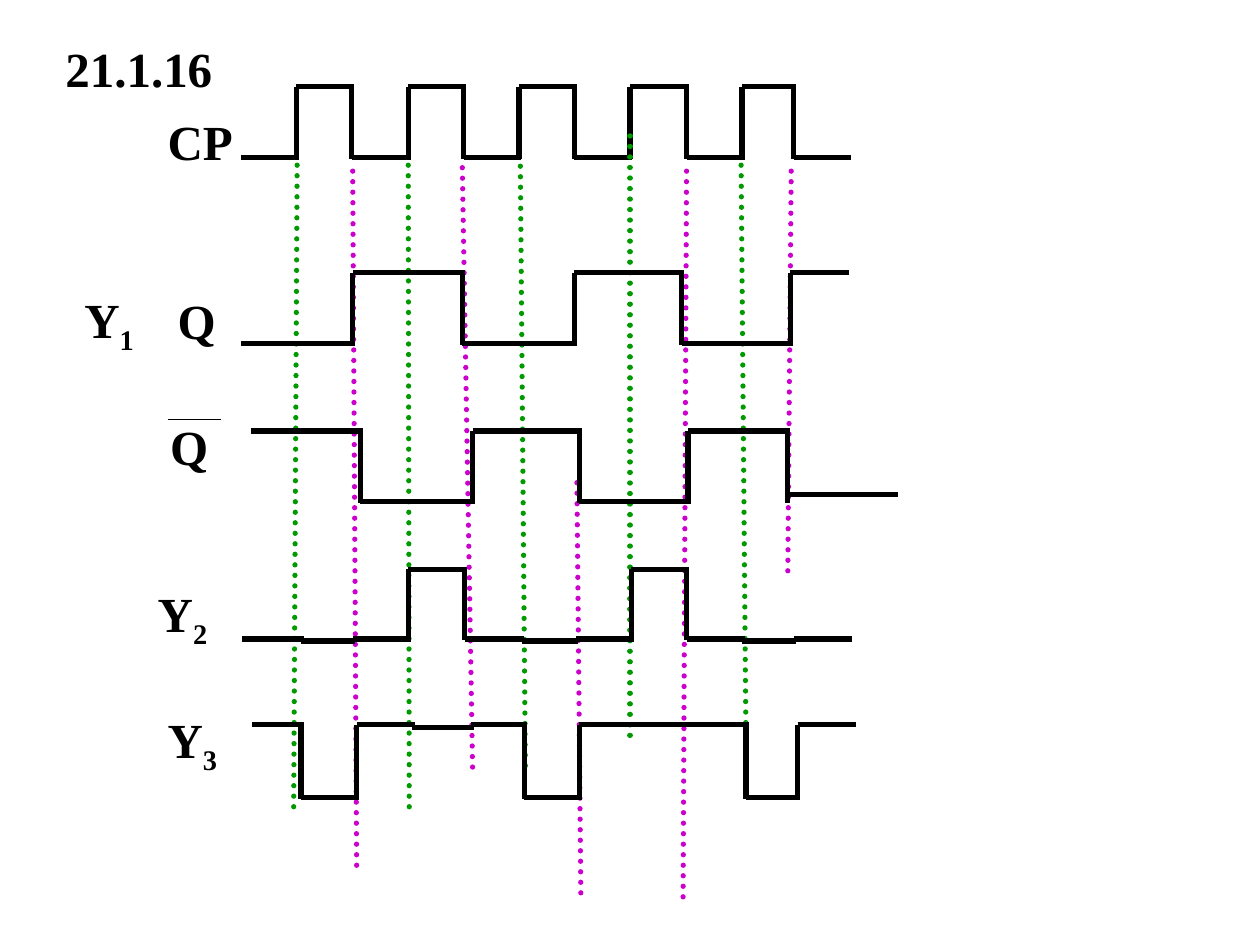
from itertools import pairwise

from pptx import Presentation
from pptx import util as u
from pptx.dml.color import RGBColor
from pptx.enum import dml, shapes, text
from pptx.oxml.ns import qn

# Content, lengths in cm.
# A wave has one letter per segment: high or low; lower case marks a slightly
# shifted level. Its times are the segment starts, then the end of the wave.
CP = {
    "pattern": "LHLHLHLHLHL",
    "levels": {"H": 1.75, "L": 3.18},
    "times": [4.85, 5.97, 7.09, 8.23, 9.35, 10.46, 11.58, 12.7, 13.84, 14.96, 16, 17.15],
}
Q_BAR = {
    "pattern": "HLHLHl",
    "levels": {"H": 8.69, "L": 10.11, "l": 9.97},
    "times": [5.05, 7.26, 9.53, 11.68, 13.87, 15.88, 18.11],
}
Y2 = {
    "pattern": "LlLHLlLHLlL",
    "levels": {"H": 11.48, "L": 12.88, "l": 12.92},
    "times": [4.88, 6.07, 7.11, 8.23, 9.37, 10.52, 11.61, 12.73, 13.84, 14.96, 16, 17.17],
}
Y3 = {
    "pattern": "HLHhHLHHHLH",
    "levels": {"H": 14.61, "L": 16.08, "h": 14.66},
    "times": [5.08, 6.07, 7.19, 8.31, 9.5, 10.57, 11.68, 12.7, 13.77, 15.04, 16.08, 17.25],
}
Q = {
    "pattern": "LHLHLH",
    "levels": {"H": 5.5, "L": 6.93},
    "times": [4.85, 7.11, 9.32, 11.58, 13.74, 15.93, 17.12],
}

# Guides: top x, top y, bottom x, bottom y
FALLING_GUIDES = [
    (7.11, 3.45, 7.19, 17.58),
    (9.32, 3.38, 9.53, 15.67),
    (11.63, 9.73, 11.71, 18.11),
    (13.84, 3.45, 13.77, 18.21),
    (15.95, 3.45, 15.88, 11.63),
]
RISING_GUIDES = [
    (5.99, 3.33, 5.92, 16.31),
    (8.23, 3.33, 8.25, 16.31),
    (10.49, 3.35, 10.59, 15.44),
    (12.7, 2.74, 12.7, 14.86),
    (14.94, 3.33, 15.04, 15.24),
]

# Labels: text, subscript, left, top, width, height, padded, centred
LABELS = [
    ("21.1.16", "", 1.07, 0.64, 4.24, 1.45, True, False),
    ("CP", "", 2.03, 2.11, 4.01, 1.45, True, True),
    ("Q", "", 3.33, 5.72, 1.88, 1.45, True, False),
    ("Q", "", 3.18, 8.26, 1.27, 1.45, True, False),
    ("Y", "1", 1.7, 5.84, 1.91, 1.35, False, False),
    ("Y", "2", 3.18, 11.76, 1.91, 1.35, False, False),
    ("Y", "3", 3.38, 14.3, 1.91, 1.35, False, False),
]
OVERLINE = (3.38, 8.46, 4.45, 8.46)

THEME = {
    "ink": RGBColor(0, 0, 0),
    "falling": RGBColor(0xCC, 0, 0xCC),
    "rising": RGBColor(0, 0x99, 0),
    "font": "Times New Roman",
    "size": u.Pt(28),
    "stroke": u.Pt(3),
    "thin": u.Pt(0.75),
}
OVERLAP = 0.05


def add_line(parent, ends, colour=THEME["ink"], width=THEME["stroke"], dotted=False):
    line = parent.add_connector(shapes.MSO_CONNECTOR.STRAIGHT, *map(u.Cm, ends))
    line.line.color.rgb = colour
    line.line.width = width
    if dotted:
        line.line.dash_style = dml.MSO_LINE.ROUND_DOT
        line.line._get_or_add_ln().set("cap", "rnd")
    properties = line._element.spPr
    properties.append(properties.makeelement(qn("a:effectLst"), {}))


def add_wave(slide, wave):
    group = slide.shapes.add_group_shape().shapes
    levels, pattern, times = wave["levels"], wave["pattern"], wave["times"]
    # Levels run a little past the next edge so that corners close
    for level, (start, end) in zip(pattern, pairwise(times)):
        y = levels[level]
        tail = 0 if end == times[-1] else OVERLAP
        add_line(group, (start, y, end + tail, y))
    # Edges stand where the state changes
    for edge, (before, after) in zip(times[1:], pairwise(pattern.upper())):
        if before != after:
            add_line(group, (edge, levels["H"], edge, levels["L"] + OVERLAP / 2))


def add_label(slide, words, subscript, left, top, width, height, padded, centred):
    box = slide.shapes.add_textbox(*map(u.Cm, (left, top, width, height)))
    frame = box.text_frame
    frame.word_wrap = True
    frame.vertical_anchor = text.MSO_ANCHOR.MIDDLE
    frame.margin_left = frame.margin_right = u.Cm(0.25 if padded else 0)
    frame.margin_top = frame.margin_bottom = u.Cm(0.13 if padded else 0)
    paragraph = frame.paragraphs[0]
    paragraph.alignment = text.PP_ALIGN.CENTER if centred else text.PP_ALIGN.LEFT
    paragraph.add_run().text = words
    if subscript:
        index = paragraph.add_run()
        index.text = subscript
        index.font._element.set("baseline", "-25000")
    font = paragraph.font
    font.name, font.size, font.bold = THEME["font"], THEME["size"], True
    font.color.rgb = THEME["ink"]


def main():
    deck = Presentation()
    deck.slide_width, deck.slide_height = u.Cm(25.4), u.Cm(19.05)
    slide = deck.slides.add_slide(deck.slide_layouts[6])

    # Clock, then the guides that cross the traces below it
    add_wave(slide, CP)
    for colour, guides in (("falling", FALLING_GUIDES), ("rising", RISING_GUIDES)):
        for guide in guides:
            add_line(slide.shapes, guide, THEME[colour], dotted=True)

    # Output traces
    for wave in (Q_BAR, Y2, Y3, Q):
        add_wave(slide, wave)

    # Signal names
    for label in LABELS:
        add_label(slide, *label)
    add_line(slide.shapes, OVERLINE, width=THEME["thin"])

    deck.save("out.pptx")


if __name__ == "__main__":
    main()
